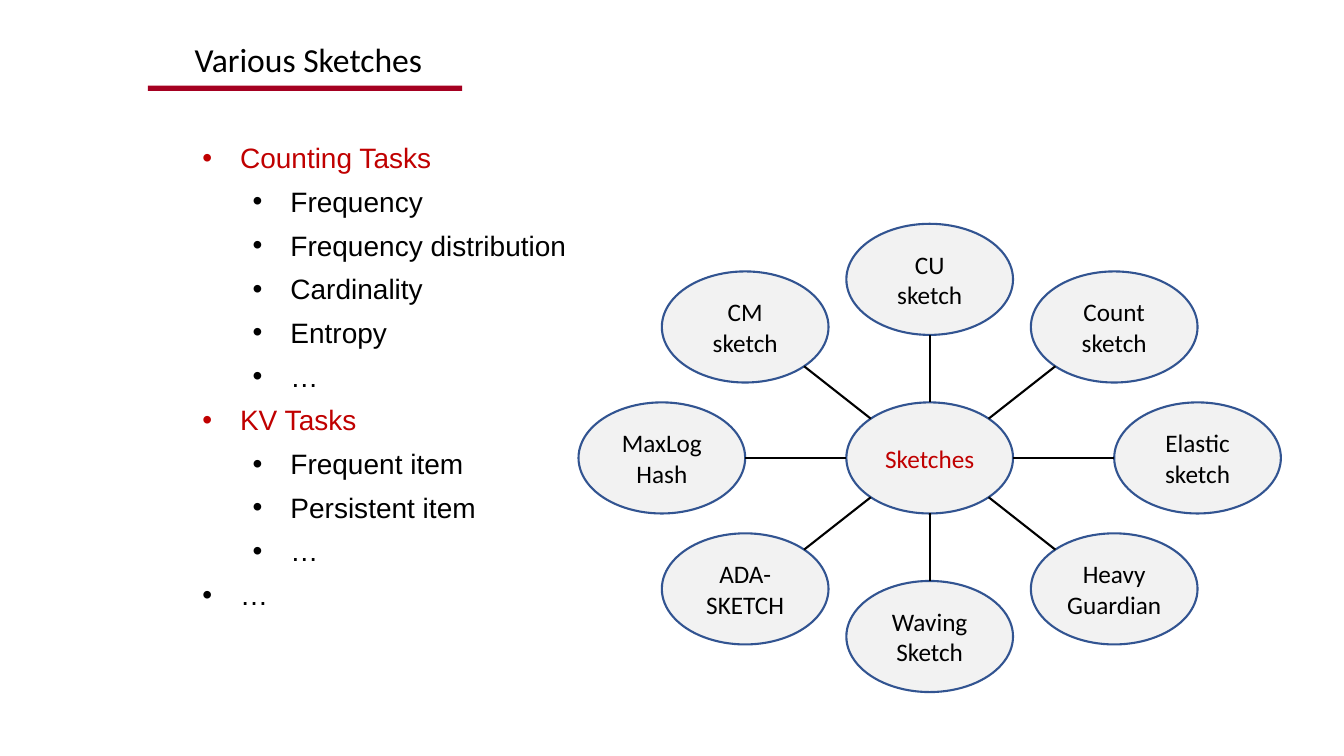
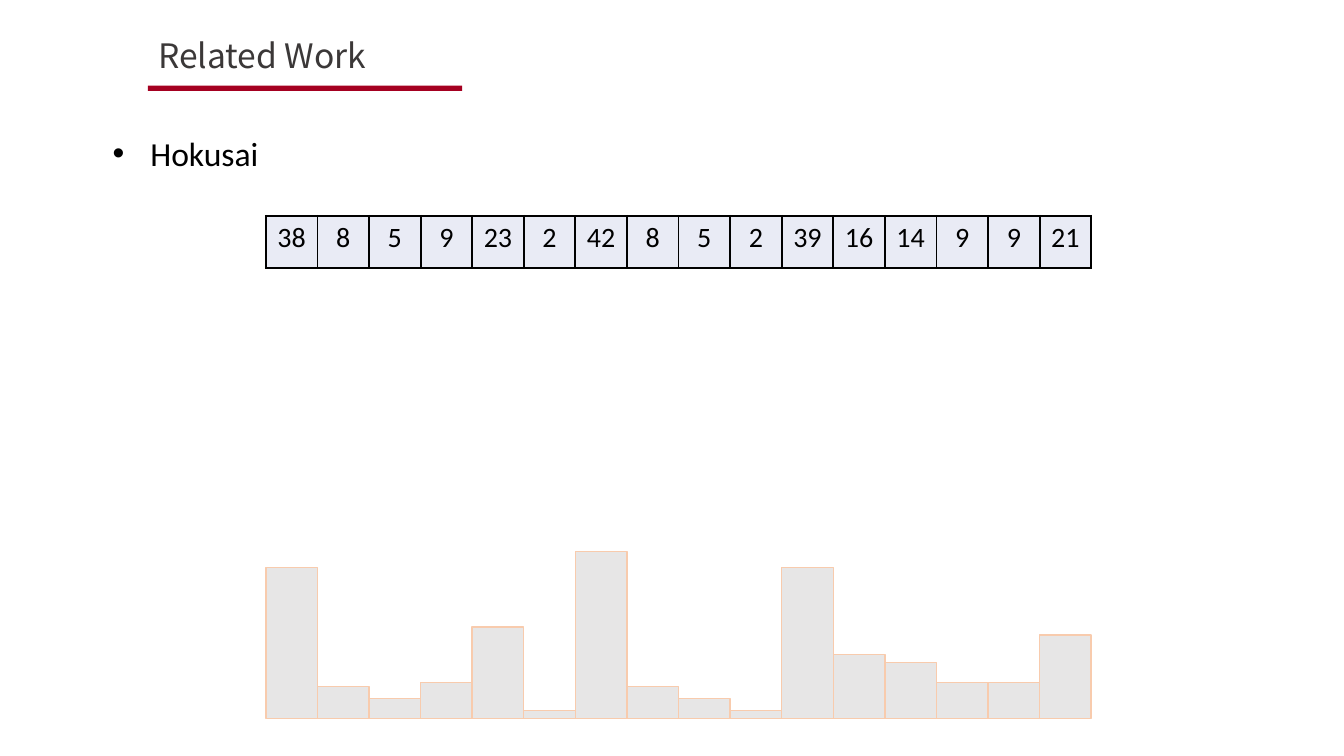
"""Build two slides: a map of sketch algorithms and a related-work example."""
from math import hypot

from lxml.etree import SubElement
from pptx import Presentation
from pptx.dml.color import RGBColor
from pptx.enum.shapes import MSO_CONNECTOR, MSO_SHAPE
from pptx.enum.text import MSO_ANCHOR, PP_ALIGN
from pptx.oxml.ns import qn
from pptx.util import Cm, Pt

COLOURS = {
    "text": "000000",
    "soft_text": "3B3838",
    "accent": "C00000",
    "title_bar": "A50021",
    "node_fill": "F2F2F2",
    "node_line": "325491",
    "cell_fill": "E9EBF5",
    "bar_fill": "E7E6E6",
    "bar_line": "F8CBAD",
}
TITLE_ONLY = 5
HANGING = 0.95
NODE_WIDTH, NODE_HEIGHT = 4.2, 2.8
DIRECTIONS = [(0, -1), (-1, -1), (-1, 0), (-1, 1), (0, 1), (1, 1), (1, 0), (1, -1)]


def colour(name):
    return RGBColor.from_string(COLOURS[name])


class SlideWriter:
    """Hold the deck's style and the slide being written."""

    def __init__(self):
        self.deck = Presentation()
        self.deck.slide_width, self.deck.slide_height = Cm(33.87), Cm(19.05)
        self.slide = None

    def style(self, paragraph, size, tint="text", font="Calibri"):
        paragraph.font.name = font
        paragraph.font.size = Pt(size)
        paragraph.font.color.rgb = colour(tint)

    def add_page(self, title, left, tint="text", font="Calibri", spacing=1.0):
        self.slide = self.deck.slides.add_slide(self.deck.slide_layouts[TITLE_ONLY])
        box = self.slide.shapes.title
        box.left, box.top, box.width, box.height = Cm(left), Cm(0.86), Cm(18), Cm(1.28)
        frame = box.text_frame
        frame.text = title
        frame.vertical_anchor = MSO_ANCHOR.TOP
        paragraph = frame.paragraphs[0]
        paragraph.alignment = PP_ALIGN.LEFT
        paragraph.line_spacing = spacing
        self.style(paragraph, 24, tint, font)
        self.add_shape(MSO_SHAPE.RECTANGLE, 3.73, 2.16, 7.92, 0.13, "title_bar")

    def add_shape(self, kind, left, top, width, height, fill, line=None, line_width=1):
        shape = self.slide.shapes.add_shape(kind, Cm(left), Cm(top), Cm(width), Cm(height))
        shape.shadow.inherit = False
        shape.fill.solid()
        shape.fill.fore_color.rgb = colour(fill)
        if line:
            shape.line.color.rgb = colour(line)
            shape.line.width = Pt(line_width)
        else:
            shape.line.fill.background()
        return shape

    def add_bullets(self, left, top, width, height, items, size, font, after, spacing=1.0):
        box = self.slide.shapes.add_textbox(Cm(left), Cm(top), Cm(width), Cm(height))
        frame = box.text_frame
        frame.word_wrap = True
        for index, (text, level, tint) in enumerate(items):
            paragraph = frame.paragraphs[0] if index == 0 else frame.add_paragraph()
            paragraph.text = text
            paragraph.level = level
            paragraph.space_after = Pt(after)
            paragraph.line_spacing = spacing
            properties = paragraph._p.get_or_add_pPr()
            properties.set("marL", str(Cm(HANGING + 1.27 * level)))
            properties.set("indent", str(-Cm(HANGING)))
            SubElement(properties, qn("a:buFont"), typeface="Arial")
            SubElement(properties, qn("a:buChar"), char="•")
            self.style(paragraph, size, tint, font)

    def add_node(self, text, centre_x, centre_y, tint="text"):
        node = self.add_shape(
            MSO_SHAPE.OVAL, centre_x - NODE_WIDTH / 2, centre_y - NODE_HEIGHT / 2,
            NODE_WIDTH, NODE_HEIGHT, "node_fill", "node_line", 1.5)
        node.text_frame.text = text
        node.text_frame.vertical_anchor = MSO_ANCHOR.MIDDLE
        for paragraph in node.text_frame.paragraphs:
            paragraph.alignment = PP_ALIGN.CENTER
            self.style(paragraph, 18, tint)
        return node

    def add_spoke(self, hub, node, site):
        ends = [(hub, site, "a:stCxn"), (node, (site + 4) % 8, "a:endCxn")]
        points = []
        for shape, index, _ in ends:
            across, down = DIRECTIONS[index]
            reach = 2 * hypot(across, down)
            points += [int(shape.left + shape.width * (0.5 + across / reach)),
                       int(shape.top + shape.height * (0.5 + down / reach))]
        spoke = self.slide.shapes.add_connector(MSO_CONNECTOR.STRAIGHT, *points)
        spoke.line.color.rgb = colour("text")
        spoke.line.width = Pt(1.5)
        SubElement(spoke._element.spPr, qn("a:effectLst"))
        links = spoke._element.nvCxnSpPr.cNvCxnSpPr
        for shape, index, tag in ends:
            SubElement(links, qn(tag), id=str(shape.shape_id), idx=str(index))

    def add_number_row(self, left, top, column_width, height, numbers):
        table = self.slide.shapes.add_table(
            1, len(numbers), Cm(left), Cm(top),
            Cm(column_width * len(numbers)), Cm(height)).table
        table.first_row = table.horz_banding = False
        for column, number in enumerate(numbers):
            table.columns[column].width = Cm(column_width)
            cell = table.cell(0, column)
            cell.text = str(number)
            paragraph = cell.text_frame.paragraphs[0]
            paragraph.alignment = PP_ALIGN.CENTER
            self.style(paragraph, 20)
            properties = cell._tc.get_or_add_tcPr()
            for side in ("a:lnL", "a:lnR", "a:lnT", "a:lnB"):
                border = SubElement(properties, qn(side), w=str(Pt(1.5)))
                fill = SubElement(border, qn("a:solidFill"))
                SubElement(fill, qn("a:srgbClr"), val=COLOURS["text"])
            cell.fill.solid()
            cell.fill.fore_color.rgb = colour("cell_fill")

    def add_bars(self, left, baseline, width, unit, values):
        for index, value in enumerate(values):
            height = value * unit
            self.add_shape(MSO_SHAPE.RECTANGLE, left + index * width, baseline - height,
                           width, height, "bar_fill", "bar_line")


def add_sketch_map(writer):
    writer.add_page("Various Sketches", 4.65)
    groups = [
        ("Counting Tasks", "accent",
         ["Frequency", "Frequency distribution", "Cardinality", "Entropy", "…"]),
        ("KV Tasks", "accent", ["Frequent item", "Persistent item", "…"]),
        ("…", "text", []),
    ]
    items = []
    for heading, tint, tasks in groups:
        items.append((heading, 2, tint))
        items += [(task, 3, "text") for task in tasks]
    writer.add_bullets(2.31, 3.38, 27.48, 11.79, items, 20, "Arial", 6, 1.05)

    hub_x, hub_y = 23.43, 11.54
    names = ["CU sketch", "CM\nsketch", "MaxLog\nHash", "ADA-SKETCH",
             "Waving\nSketch", "Heavy\nGuardian", "Elastic\nsketch", "Count sketch"]
    nodes = []
    for name, (across, down) in zip(names, DIRECTIONS):
        reach_x, reach_y = (4.65, 3.3) if across and down else (6.75, 4.5)
        nodes.append(writer.add_node(name, hub_x + across * reach_x, hub_y + down * reach_y))
    hub = writer.add_node("Sketches", hub_x, hub_y, "accent")
    for site, node in enumerate(nodes):
        writer.add_spoke(hub, node, site)


def add_related_work(writer):
    writer.add_page("Related Work", 3.73, "soft_text", "Noto Sans CJK SC", 0.9)
    writer.add_bullets(1.32, 3.23, 23.62, 2.74, [("Hokusai", 1, "text")], 24, "Calibri", 12)
    counts = [38, 8, 5, 9, 23, 2, 42, 8, 5, 2, 39, 16, 14, 9, 9, 21]
    bar_values = counts[:10] + [38] + counts[11:]
    left, column_width = 6.7, 1.3
    writer.add_number_row(left, 5.44, column_width, 1.32, counts)
    writer.add_bars(left, 18.1, column_width, 0.1, bar_values)


def main():
    writer = SlideWriter()
    add_sketch_map(writer)
    add_related_work(writer)
    writer.deck.save("out.pptx")


if __name__ == "__main__":
    main()
